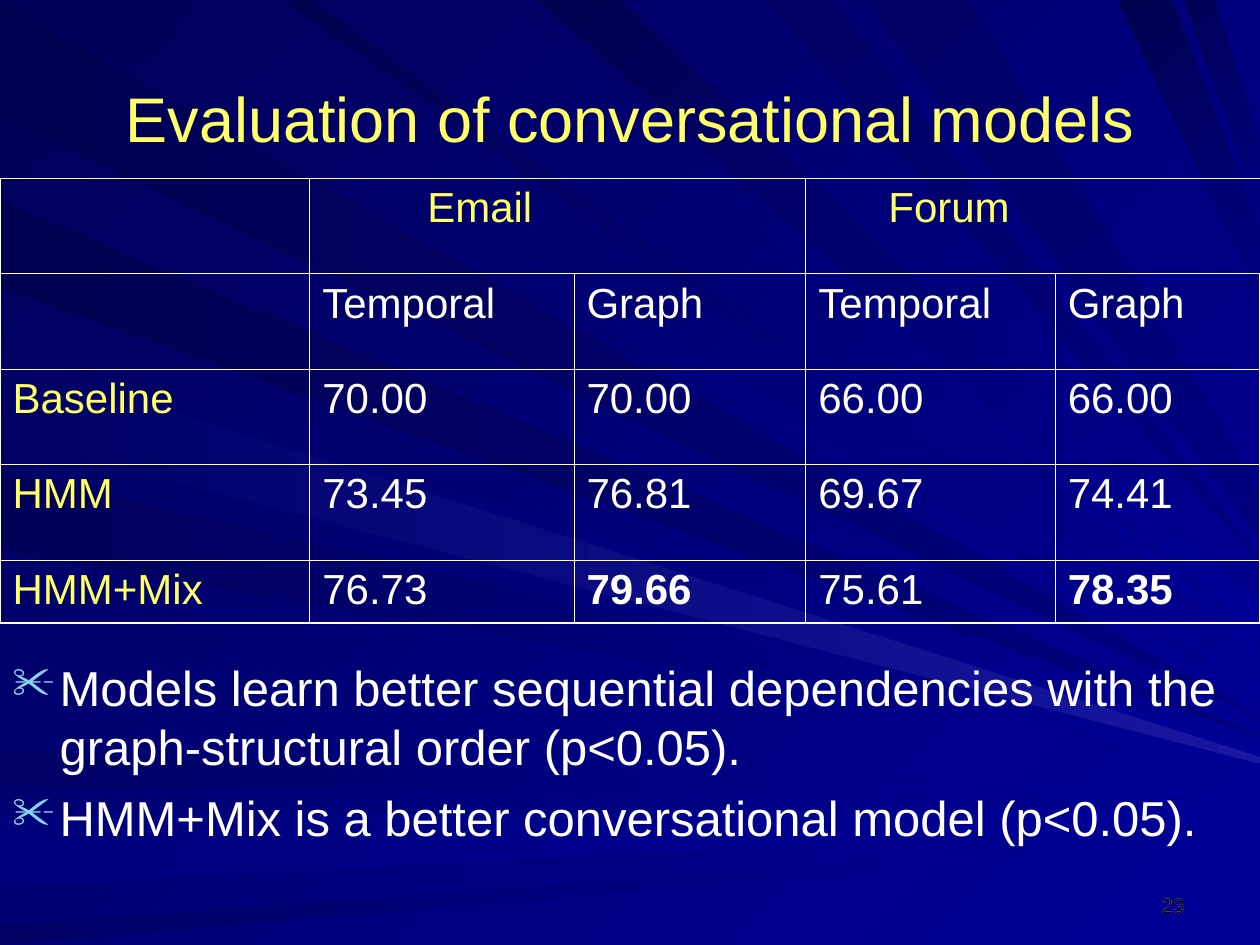
from lxml import etree
from pptx import Presentation
from pptx.dml.color import RGBColor
from pptx.enum import text
from pptx.oxml import ns
from pptx.util import Pt

COLORS = {"title": "FFFF66", "body": "FFFFFF", "number": "000000",
          "bullet": "86D1EC", "dark": "000058", "light": "000099",
          "deep": "000051", "mid": "000065", "soft": "00007D",
          "dim": "000080", "glow": "1717A2"}

# Start colour, end colour, span on the near edge, span on the right edge,
# both in thousandths of the box width
LEFT_RAYS = [
    ("deep", "dim", (2, 93), (569, 570)),
    ("mid", "light", (596, 623), (631, 632)),
    ("soft", "light", (647, 704), (643, 651)),
    ("mid", "light", (735, 750), (662, 664)),
    ("deep", "dim", (159, 228), (584, 585)),
    ("mid", "light", (278, 342), (596, 602)),
    ("dark", "light", (374, 437), (605, 606)),
    ("mid", "glow", (283, 347), (601, 606)),
]
TOP_RAYS = [
    ("dark", "light", (101, 26), (562, 563)),
    ("deep", "light", (247, 225), (547, 552)),
    ("mid", "light", (416, 398), (515, 521)),
    ("deep", "light", (492, 426), (479, 507)),
    ("mid", "dim", (661, 606), (445, 446)),
    ("mid", "dim", (770, 686), (390, 428)),
    ("deep", "dim", (930, 887), (183, 237)),
    ("dark", "dim", (964, 939), (114, 167)),
]

COL_WIDTHS = [177, 151, 132.5, 142.5, 117]
ROW_HEIGHTS = [54.5] * 4 + [36]
ROWS = [
    ["", "Email", "", "Forum", ""],
    ["", "Temporal", "Graph", "Temporal", "Graph"],
    ["Baseline", "70.00", "70.00", "66.00", "66.00"],
    ["HMM", "73.45", "76.81", "69.67", "74.41"],
    ["HMM+Mix", "76.73", "79.66", "75.61", "78.35"],
]
HEADER_INDENTS = {1: 60, 3: 40}
BEST = {"79.66", "78.35"}
FINDINGS = [
    "Models learn better sequential dependencies with the graph-structural order (p<0.05).",
    "HMM+Mix is a better conversational model (p<0.05).",
]


def rgb(name):
    return RGBColor.from_string(COLORS[name])


def sub(parent, tag, **attrs):
    return etree.SubElement(parent, ns.qn(tag), attrs)


def shade(fill, start, end, angle):
    """Fill with a gradient whose angle runs clockwise."""
    fill.gradient()
    fill.gradient_angle = -angle % 360
    for stop, color in zip(fill.gradient_stops, (start, end)):
        stop.color.rgb = rgb(color)


def write(p, words, size=24, color="body", bold=False, align=text.PP_ALIGN.LEFT):
    p.alignment = align
    r = p.add_run()
    r.text = words
    r.font.name = "Arial"
    r.font.size = Pt(size)
    r.font.bold = bold
    r.font.color.rgb = rgb(color)


def add_frame(s, box, anchor):
    tf = s.shapes.add_textbox(*map(Pt, box)).text_frame
    tf.word_wrap = True
    tf.vertical_anchor = anchor
    return tf


def add_background(s, box):
    left, top, width, _ = box
    shade(s.background.fill, "dark", "light", 45)
    for rays, from_left in ((LEFT_RAYS, True), (TOP_RAYS, False)):
        for start, end, near, far in rays:
            corners = [(0, n) if from_left else (n, 0) for n in near]
            corners += [(1000, y) for y in reversed(far)]
            builder = s.shapes.build_freeform(*corners[0], scale=Pt(width / 1000))
            builder.add_line_segments(corners[1:])
            sp = builder.convert_to_shape(Pt(left), Pt(top))
            sp.shadow.inherit = False
            sp.line.fill.background()
            shade(sp.fill, start, end, 0 if from_left else 45)


def add_title(s, box):
    tf = add_frame(s, box, text.MSO_ANCHOR.MIDDLE)
    write(tf.paragraphs[0], "Evaluation of conversational models", size=36,
          color="title", align=text.PP_ALIGN.CENTER)


def set_borders(cell, outer):
    """Draw four white edges, thicker on the sides named in outer."""
    tc_pr = cell._tc.get_or_add_tcPr()
    for side in "LRTB":
        width = 1.08 if side in outer else 0.45
        ln = sub(tc_pr, f"a:ln{side}", w=str(Pt(width)))
        sub(sub(ln, "a:solidFill"), "a:srgbClr", val=COLORS["body"])


def add_results(s, box):
    table = s.shapes.add_table(len(ROWS), len(COL_WIDTHS), *map(Pt, box)).table
    table.first_row = table.horz_banding = False
    for column, width in zip(table.columns, COL_WIDTHS):
        column.width = Pt(width)
    for row, height in zip(table.rows, ROW_HEIGHTS):
        row.height = Pt(height)
    last_row, last_col = len(ROWS) - 1, len(COL_WIDTHS) - 1
    for i, row in enumerate(ROWS):
        for j, words in enumerate(row):
            cell = table.cell(i, j)
            edges = {"L": j == 0, "R": j == last_col, "T": i == 0, "B": i == last_row}
            set_borders(cell, [side for side, on in edges.items() if on])
            cell.fill.background()
            if words:
                p = cell.text_frame.paragraphs[0]
                if i == 0:
                    p._p.get_or_add_pPr().set("marL", str(Pt(HEADER_INDENTS[j])))
                write(p, words, color="title" if 0 in (i, j) else "body",
                      bold=words in BEST)
    for j in HEADER_INDENTS:
        table.cell(0, j).merge(table.cell(0, j + 1))


def add_findings(s, box):
    tf = add_frame(s, box, text.MSO_ANCHOR.TOP)
    for i, words in enumerate(FINDINGS):
        p = tf.add_paragraph() if i else tf.paragraphs[0]
        p_pr = p._p.get_or_add_pPr()
        p_pr.set("marL", str(Pt(27)))
        p_pr.set("indent", str(-Pt(27)))
        sub(sub(p_pr, "a:buClr"), "a:srgbClr", val=COLORS["bullet"])
        sub(p_pr, "a:buSzPct", val="90000")
        sub(p_pr, "a:buChar", char="✂")
        if i:
            p.space_before = Pt(7)
        write(p, words, size=28)


def add_page_number(s, box):
    """Set the black number over a white one, which gives it a light edge."""
    for color in ("body", "number"):
        tf = add_frame(s, box, text.MSO_ANCHOR.BOTTOM)
        write(tf.paragraphs[0], "23", size=12, color=color, align=text.PP_ALIGN.RIGHT)


def main():
    prs = Presentation()
    prs.slide_width, prs.slide_height = Pt(720), Pt(540)
    s = prs.slides.add_slide(prs.slide_layouts[6])
    add_background(s, (0, 0, 720, 540))
    add_title(s, (36, 22, 648, 90))
    add_findings(s, (0, 372, 720, 120))
    add_results(s, (0, 102, sum(COL_WIDTHS), sum(ROW_HEIGHTS)))
    add_page_number(s, (516, 492, 168, 36))
    prs.save("out.pptx")


if __name__ == "__main__":
    main()
